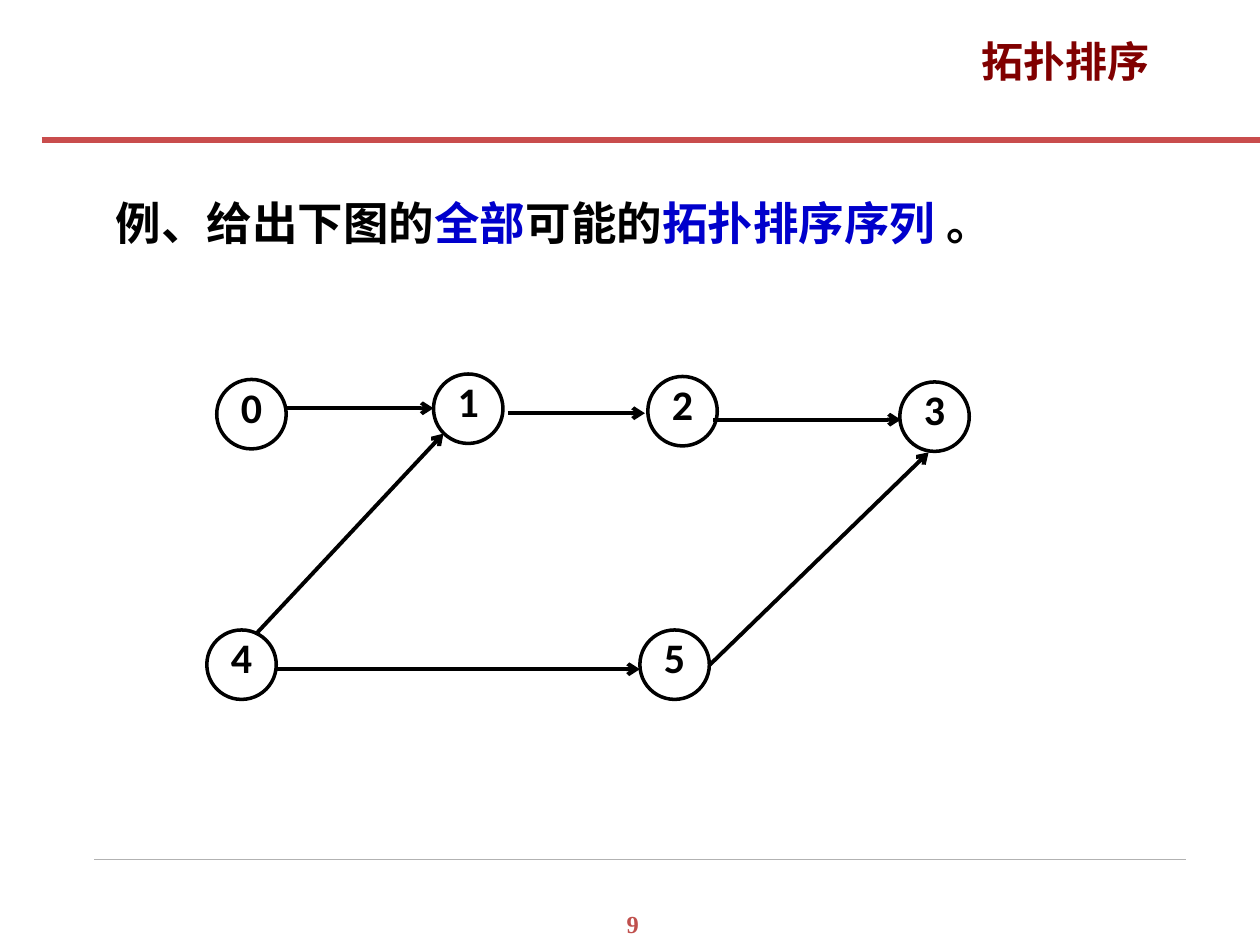
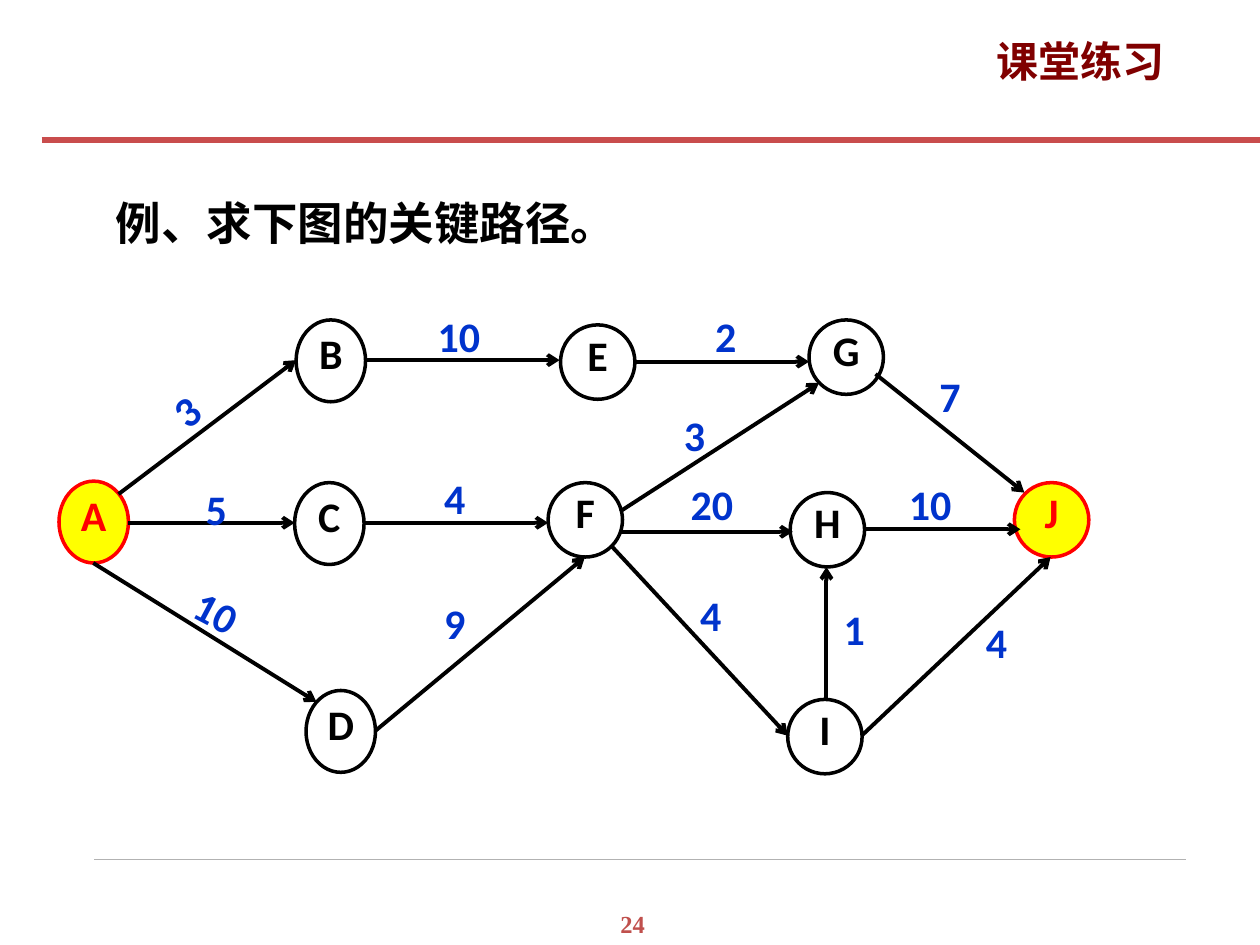
from dataclasses import dataclass

from lxml import etree
from pptx import Presentation
from pptx import util as u
from pptx.dml.color import RGBColor
from pptx.enum import shapes, text
from pptx.oxml import ns


@dataclass(frozen=True)
class Theme:
    ink: str = "000000"
    title: str = "800000"
    rule: str = "C94D4D"
    footer_rule: str = "B2B2B2"
    page_number: str = "C0504D"
    keyword: str = "0000CC"
    weight: str = "0033CC"
    accent: str = "FF0000"
    accent_fill: str = "FFFF00"
    chinese_font: str = "Noto Sans CJK SC"
    graph_font: str = "Calibri"
    number_font: str = "Times New Roman"
    title_size: int = 24
    question_size: int = 26
    graph_size: int = 24
    number_size: int = 14
    node_line: float = 2
    edge_line: float = 2.25


THEME = Theme()
CIRCLE = (1.4, 1.4)
OVAL = (1.4, 1.65)
LARGE_CIRCLE = (1.5, 1.5)

SORT_NODES = [
    ("0", 4.37, 7.65), ("1", 8.74, 7.54), ("2", 13.06, 7.59),
    ("3", 18.14, 7.7), ("4", 4.17, 12.7), ("5", 12.9, 12.7),
]
SORT_EDGES = [
    (5.77, 8.23, 8.74, 8.23),
    (10.24, 8.33, 13, 8.33),
    (14.38, 8.46, 18.16, 8.46),
    (5.16, 12.78, 8.94, 8.74),
    (5.59, 13.49, 12.9, 13.49),
    (14.3, 13.41, 18.72, 9.12),
]

PATH_NODES = [
    ("A", 1.19, 9.7, OVAL), ("B", 5.97, 6.45, OVAL),
    ("C", 5.94, 9.73, OVAL), ("D", 6.17, 13.92, OVAL),
    ("E", 11.3, 6.55, LARGE_CIRCLE), ("F", 11.05, 9.73, LARGE_CIRCLE),
    ("G", 16.31, 6.45, LARGE_CIRCLE), ("H", 15.93, 9.93, LARGE_CIRCLE),
    ("I", 15.88, 14.1, LARGE_CIRCLE), ("J", 20.45, 9.73, LARGE_CIRCLE),
]
PATH_ENDS = ("A", "J")
PATH_EDGES = [
    ((2.39, 9.96, 5.97, 7.26), ("3", 3.75, 8.28, -37.9)),
    ((2.59, 10.54, 5.94, 10.54), ("5", 4.36, 10.26, 0)),
    ((1.88, 11.35, 6.38, 14.15), ("10", 4.37, 12.34, 27.9)),
    ((7.37, 7.26, 11.28, 7.26), ("10", 9.25, 6.78, 0)),
    ((7.34, 10.54, 11.05, 10.54), ("4", 9.17, 10.03, 0)),
    ((7.57, 14.73, 11.79, 11.23), ("9", 9.17, 12.55, 0)),
    ((12.8, 7.29, 16.31, 7.29), ("2", 14.63, 6.78, 0)),
    ((12.5, 10.31, 16.51, 7.72), ("3", 14, 8.76, 0)),
    ((12.52, 10.72, 15.98, 10.72), ("20", 14.35, 10.16, 0)),
    ((12.32, 11, 15.88, 14.83), ("4", 14.33, 12.4, 0)),
    ((16.66, 14.1, 16.66, 11.43), ("1", 17.22, 12.67, 0)),
    ((17.65, 7.54, 20.65, 9.93), ("7", 19.15, 7.98, 0)),
    ((17.42, 10.67, 20.57, 10.67), ("10", 18.75, 10.16, 0)),
    ((17.37, 14.83, 21.18, 11.23), ("4", 20.09, 12.93, 0)),
]


def color(value):
    return RGBColor.from_string(value)


def add_run(paragraph, words, font, size, ink):
    run = paragraph.add_run()
    run.text = words
    run.font.name = font
    run.font.size = u.Pt(size)
    run.font.bold = True
    run.font.color.rgb = color(ink)
    east_asian = etree.SubElement(run.font._element, ns.qn("a:ea"))
    east_asian.set("typeface", font)


def add_text_box(slide, left, top, width, height):
    shape = slide.shapes.add_textbox(u.Cm(left), u.Cm(top), u.Cm(width), u.Cm(height))
    shape.text_frame.word_wrap = True
    return shape


def add_line(slide, ends, ink, width):
    connector = slide.shapes.add_connector(
        shapes.MSO_CONNECTOR.STRAIGHT, *(u.Cm(end) for end in ends))
    connector.line.color.rgb = color(ink)
    connector.line.width = u.Pt(width)
    etree.SubElement(connector._element.spPr, ns.qn("a:effectLst"))
    return connector


def add_edge(slide, ends):
    connector = add_line(slide, ends, THEME.ink, THEME.edge_line)
    arrowhead = etree.SubElement(connector.line._get_or_add_ln(), ns.qn("a:tailEnd"))
    arrowhead.set("type", "arrow")


def add_node(slide, name, left, top, size, highlighted=False):
    width, height = size
    ink = THEME.accent if highlighted else THEME.ink
    shape = slide.shapes.add_shape(
        shapes.MSO_SHAPE.OVAL, u.Cm(left), u.Cm(top), u.Cm(width), u.Cm(height))
    shape.shadow.inherit = False
    shape.line.color.rgb = color(ink)
    shape.line.width = u.Pt(THEME.node_line)
    if highlighted:
        shape.fill.solid()
        shape.fill.fore_color.rgb = color(THEME.accent_fill)
    else:
        shape.fill.background()
    frame = shape.text_frame
    frame.margin_left = frame.margin_right = frame.margin_top = frame.margin_bottom = 0
    frame.vertical_anchor = text.MSO_ANCHOR.MIDDLE
    paragraph = frame.paragraphs[0]
    paragraph.alignment = text.PP_ALIGN.CENTER
    paragraph.line_spacing = u.Pt(20)
    add_run(paragraph, name, THEME.graph_font, THEME.graph_size, ink)


def add_weight(slide, value, center_x, center_y, rotation):
    width, height = 1.8, 1.27
    shape = add_text_box(slide, center_x - width / 2, center_y - height / 2, width, height)
    shape.rotation = rotation
    paragraph = shape.text_frame.paragraphs[0]
    paragraph.alignment = text.PP_ALIGN.CENTER
    add_run(paragraph, value, THEME.graph_font, THEME.graph_size, THEME.weight)


def format_title(slide, words, left, width):
    title = slide.shapes.title
    title.left, title.top = u.Cm(left), u.Cm(0.58)
    title.width, title.height = u.Cm(width), u.Cm(1.75)
    frame = title.text_frame
    frame.auto_size = text.MSO_AUTO_SIZE.NONE
    frame.vertical_anchor = text.MSO_ANCHOR.TOP
    paragraph = frame.paragraphs[0]
    paragraph.alignment = text.PP_ALIGN.CENTER
    add_run(paragraph, words, THEME.chinese_font, THEME.title_size, THEME.title)


def add_page_number(slide, number):
    shape = add_text_box(slide, 12.12, 18.21, 1.27, 0.86)
    paragraph = shape.text_frame.paragraphs[0]
    paragraph.alignment = text.PP_ALIGN.CENTER
    add_run(paragraph, str(number), THEME.number_font, THEME.number_size, THEME.page_number)


def add_question(slide, parts):
    shape = add_text_box(slide, 2.08, 3.63, 21.34, 1.52)
    paragraph = shape.text_frame.paragraphs[0]
    paragraph.line_spacing = u.Pt(36)
    for words, ink in parts:
        add_run(paragraph, words, THEME.chinese_font, THEME.question_size, ink)


def add_graph_slide(presentation, title, left, width, number, question):
    slide = presentation.slides.add_slide(presentation.slide_layouts[5])
    add_line(slide, (1.9, 17.32, 23.9, 17.32), THEME.footer_rule, 0.25)
    add_line(slide, (0.84, 2.82, 25.4, 2.82), THEME.rule, 3.5)
    format_title(slide, title, left, width)
    add_page_number(slide, number)
    add_question(slide, question)
    return slide


def add_topological_sort(presentation):
    question = [
        ("例、给出下图的", THEME.ink), ("全部", THEME.keyword),
        ("可能的", THEME.ink), ("拓扑排序序列", THEME.keyword), (" 。", THEME.ink),
    ]
    slide = add_graph_slide(presentation, "拓扑排序", 18.26, 6.45, 9, question)
    for name, left, top in SORT_NODES:
        add_node(slide, name, left, top, CIRCLE)
    for ends in SORT_EDGES:
        add_edge(slide, ends)


def add_critical_path(presentation):
    question = [("例、求下图的关键路径。", THEME.ink)]
    slide = add_graph_slide(presentation, "课堂练习", 18.85, 5.87, 24, question)
    for name, left, top, size in PATH_NODES:
        add_node(slide, name, left, top, size, name in PATH_ENDS)
    for ends, weight in PATH_EDGES:
        add_edge(slide, ends)
        add_weight(slide, *weight)


def main():
    presentation = Presentation()
    presentation.slide_width = u.Cm(25.4)
    presentation.slide_height = u.Cm(19.05)
    add_topological_sort(presentation)
    add_critical_path(presentation)
    presentation.save("out.pptx")


if __name__ == "__main__":
    main()
